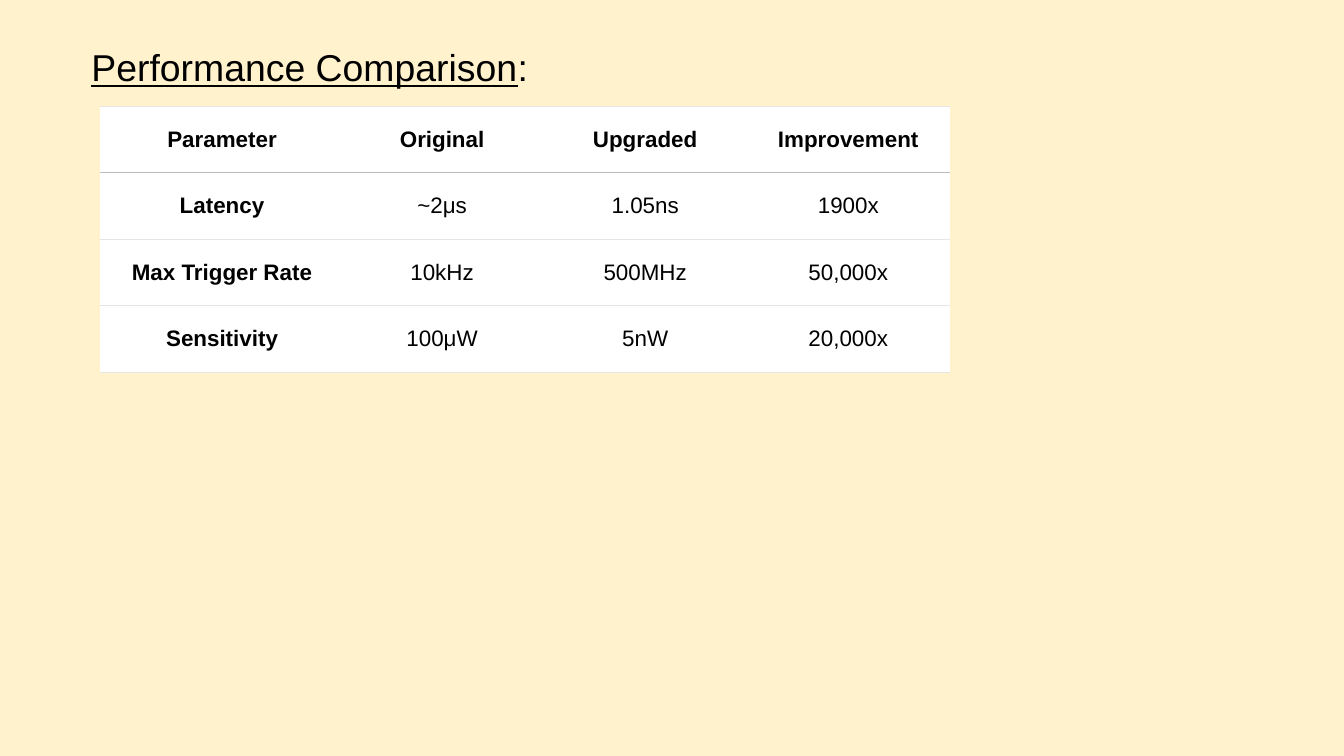
"""Build a slide with a table comparing original and upgraded performance."""
from dataclasses import dataclass

from lxml import etree
from pptx import Presentation
from pptx.dml.color import RGBColor
from pptx.enum.text import MSO_ANCHOR, MSO_AUTO_SIZE, PP_ALIGN
from pptx.oxml.ns import qn
from pptx.util import Pt

MIDDLE = MSO_ANCHOR.MIDDLE
TOP = MSO_ANCHOR.TOP
LEFT = PP_ALIGN.LEFT
CENTER = PP_ALIGN.CENTER
FIT_SHAPE = MSO_AUTO_SIZE.SHAPE_TO_FIT_TEXT

CREAM = RGBColor(0xFF, 0xF2, 0xCC)
WHITE = RGBColor(0xFF, 0xFF, 0xFF)
BLACK = RGBColor(0x00, 0x00, 0x00)
LIGHT_GRAY = RGBColor(0xE5, 0xE5, 0xE5)
MID_GRAY = RGBColor(0xBB, 0xBB, 0xBB)

FONT = "Arial"
TITLE_LAYOUT = 5
RULE_WIDTH = Pt(0.33)
CELL_INSET = Pt(5)
LABEL_INSET = Pt(7)
ROW_HEIGHT = Pt(35.65)
LABEL_WIDTH = Pt(129)
VALUE_WIDTH = Pt(108.8)


@dataclass(frozen=True)
class Measure:
    parameter: str
    original: str
    upgraded: str
    improvement: str

    def texts(self) -> tuple[str, ...]:
        return self.parameter, self.original, self.upgraded, self.improvement


MEASURES = (
    Measure("Parameter", "Original", "Upgraded", "Improvement"),
    Measure("Latency", "~2μs", "1.05ns", "1900x"),
    Measure("Max Trigger Rate", "10kHz", "500MHz", "50,000x"),
    Measure("Sensitivity", "100μW", "5nW", "20,000x"),
)


def add_run(paragraph, text: str, size: float, bold: bool = False, underline: bool = False) -> None:
    run = paragraph.add_run()
    run.text = text
    font = run.font
    font.name = FONT
    font.size = Pt(size)
    font.bold = bold
    font.underline = underline
    font.color.rgb = BLACK


def set_borders(cell, top: RGBColor, bottom: RGBColor) -> None:
    properties = cell._tc.get_or_add_tcPr()
    sides = (("a:lnL", None), ("a:lnR", None), ("a:lnT", top), ("a:lnB", bottom))
    for position, (tag, color) in enumerate(sides):
        line = etree.Element(qn(tag), w=str(RULE_WIDTH))
        if color is None:
            etree.SubElement(line, qn("a:noFill"))
        else:
            fill = etree.SubElement(line, qn("a:solidFill"))
            etree.SubElement(fill, qn("a:srgbClr"), val=str(color))
        properties.insert(position, line)


def format_title(title) -> None:
    title.left, title.top, title.width, title.height = Pt(41.8), Pt(20.2), Pt(249.8), Pt(31.7)
    frame = title.text_frame
    frame.word_wrap = False
    frame.auto_size = FIT_SHAPE
    frame.vertical_anchor = TOP
    paragraph = frame.paragraphs[0]
    paragraph.alignment = LEFT
    add_run(paragraph, "Performance Comparison", 20, underline=True)
    add_run(paragraph, ":", 20)


def fill_cell(cell, text: str, row: int, column: int) -> None:
    cell.fill.solid()
    cell.fill.fore_color.rgb = WHITE
    cell.vertical_anchor = MIDDLE
    cell.margin_left = LABEL_INSET if column == 0 else CELL_INSET
    cell.margin_right = cell.margin_top = cell.margin_bottom = CELL_INSET
    paragraph = cell.text_frame.paragraphs[0]
    paragraph.alignment = CENTER
    add_run(paragraph, text, 12, bold=row == 0 or column == 0)
    set_borders(
        cell,
        top=MID_GRAY if row == 1 else LIGHT_GRAY,
        bottom=MID_GRAY if row == 0 else LIGHT_GRAY,
    )


def add_comparison_table(slide, measures: tuple[Measure, ...]) -> None:
    widths = (LABEL_WIDTH,) + (VALUE_WIDTH,) * 3
    table = slide.shapes.add_table(
        len(measures), len(widths), Pt(53.5), Pt(56.8),
        sum(widths), ROW_HEIGHT * len(measures),
    ).table
    table.horz_banding = False
    for column, width in zip(table.columns, widths):
        column.width = width
    for row, measure in enumerate(measures):
        table.rows[row].height = ROW_HEIGHT
        for column, text in enumerate(measure.texts()):
            fill_cell(table.cell(row, column), text, row, column)


def main() -> None:
    presentation = Presentation()
    presentation.slide_width = Pt(720)
    presentation.slide_height = Pt(405)
    slide = presentation.slides.add_slide(presentation.slide_layouts[TITLE_LAYOUT])
    background = slide.background.fill
    background.solid()
    background.fore_color.rgb = CREAM
    format_title(slide.shapes.title)
    add_comparison_table(slide, MEASURES)
    presentation.save("out.pptx")


if __name__ == "__main__":
    main()
